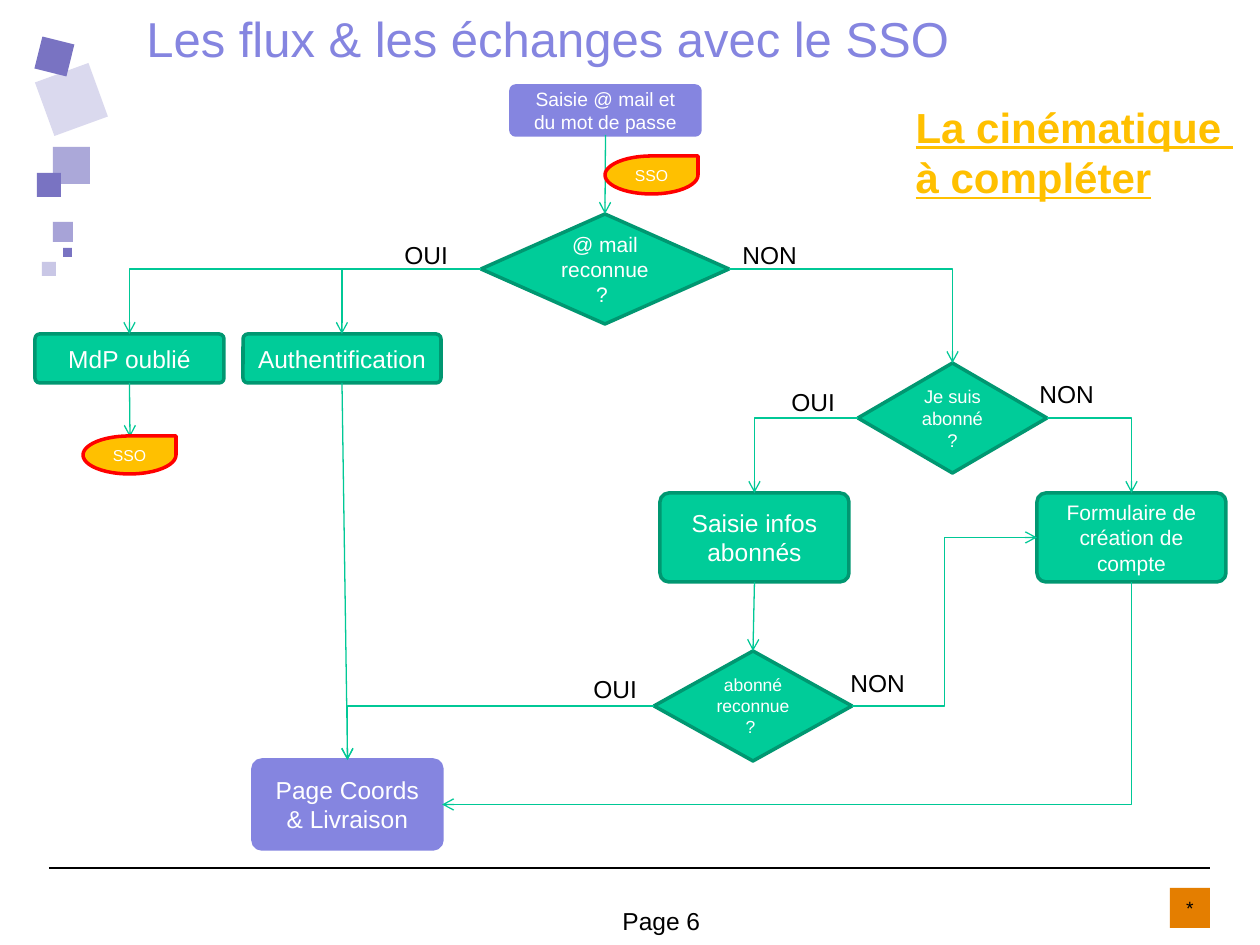
from lxml.etree import SubElement
from pptx import Presentation
from pptx.dml.color import RGBColor
from pptx.enum.shapes import MSO_CONNECTOR as CONN, MSO_SHAPE as SHAPE
from pptx.enum.text import MSO_ANCHOR as ANCHOR, PP_ALIGN as ALIGN
from pptx.oxml.ns import qn
from pptx.util import Emu, Pt

SCALE = 914400 / 126
TOP, LEFT, BOTTOM, RIGHT = range(4)


def px(n):
    return Emu(round(n * SCALE))


def rgb(value):
    return RGBColor.from_string(value)


class FlowSlide:
    """Style and element methods for one flowchart slide."""

    font = "Arial"
    green, violet, orange = ("00CC99", "009771"), ("8585E0", "8585E0"), ("FFC000", "FF0000")
    link_color = "00C896"

    def __init__(self, prs):
        self.slide = prs.slides.add_slide(prs.slide_layouts[5])
        self.shapes = self.slide.shapes

    def label(self, sp, text, size, color, align=ALIGN.LEFT, anchor=ANCHOR.TOP, inset=None, **style):
        tf = sp.text_frame
        frame = {"word_wrap": True, "vertical_anchor": anchor}
        if inset:
            frame.update(margin_top=px(inset), margin_bottom=px(inset))
        for name, value in frame.items():
            setattr(tf, name, value)
        p = tf.paragraphs[0]
        p.text, p.alignment = text, align
        for r in p.runs:
            for name, value in {"name": self.font, "size": Pt(size), **style}.items():
                setattr(r.font, name, value)
            r.font.color.rgb = rgb(color)

    def title(self, box, text, size, color, **style):
        sp = self.shapes.title
        for name, value in zip(("left", "top", "width", "height"), box):
            setattr(sp, name, px(value))
        self.label(sp, text, size, color, **style)

    def text(self, box, text, size=14, color="000000", **style):
        sp = self.shapes.add_textbox(*map(px, box))
        self.label(sp, text, size, color, **style)

    def block(self, kind, box, fill, line=None, alpha=100, rotation=0):
        sp = self.shapes.add_shape(kind, *map(px, box))
        sp.shadow.inherit = False
        sp.rotation = rotation
        sp.fill.solid()
        sp.fill.fore_color.rgb = rgb(fill)
        if alpha < 100:
            clr = sp._element.spPr.find(qn("a:solidFill"))[0]
            SubElement(clr, qn("a:alpha"), val=str(alpha * 1000))
        if line:
            sp.line.color.rgb = rgb(line)
            sp.line.width = Pt(2)
        else:
            sp.line.fill.background()
        return sp

    def node(self, kind, box, colors, text, size):
        sp = self.block(kind, box, *colors)
        if kind == SHAPE.ROUNDED_RECTANGLE:
            sp.adjustments[0] = 0.1
        self.label(sp, text, size, "FFFFFF", ALIGN.CENTER, ANCHOR.MIDDLE)
        return sp

    def line(self, ends, color, kind=CONN.STRAIGHT):
        c = self.shapes.add_connector(kind, *map(px, ends))
        c.line.color.rgb = rgb(color)
        c.line.width = Pt(0.75)
        SubElement(c._element.spPr, qn("a:effectLst"))
        return c

    def arrow(self, start, site, end, end_site=TOP, preset="line"):
        kind = CONN.STRAIGHT if preset == "line" else CONN.ELBOW
        c = self.line((0, 0, 0, 0), self.link_color, kind)
        c.begin_connect(start, site)
        if isinstance(end, tuple):
            c.end_x, c.end_y = map(px, end)
        else:
            c.end_connect(end, end_site)
        sppr = c._element.spPr
        sppr.find(qn("a:prstGeom")).set("prst", preset)
        SubElement(sppr.find(qn("a:ln")), qn("a:tailEnd"), type="arrow")
        return c

    def elbow(self, start, site, end, end_site=TOP):
        c = self.arrow(start, site, end, end_site, "bentConnector2")
        if site == BOTTOM:
            w, h = c.width, c.height
            c.left, c.top = c.left + (w - h) // 2, c.top + (h - w) // 2
            c.width, c.height = h, w
            xfrm = c._element.spPr.find(qn("a:xfrm"))
            xfrm.attrib.pop("flipH", None)
            xfrm.set("rot", "5400000")


def main():
    prs = Presentation()
    prs.slide_width, prs.slide_height = px(1260), px(945)
    s = FlowSlide(prs)

    for x, y, side, rotation, alpha in (
        (43, 71, 57, 340, 27), (63, 248, 9, 0, 100), (38, 40, 33, 14, 100), (53, 147, 37, 0, 62),
        (37, 173, 24, 0, 100), (53, 222, 20, 0, 65), (42, 262, 14, 0, 40),
    ):
        s.block(SHAPE.RECTANGLE, (x, y, side, side), "7973C2", alpha=alpha, rotation=rotation)
    s.line((49, 868, 1210, 868), "000000")
    badge = s.block(SHAPE.RECTANGLE, (1170, 888, 40, 40), "E47E00")
    s.label(badge, "*", 11, "000000", ALIGN.CENTER, ANCHOR.MIDDLE)

    s.title((903, 88, 345, 146), "La cinématique \nà compléter", 24, "FFC000",
            inset=13, bold=True, underline=True)
    s.text((134, -4, 1076, 100), "Les flux & les échanges avec le SSO", 28, "8585E0", inset=13)
    s.text((610, 900, 294, 28), "Page 6")

    box, choice, drop = SHAPE.ROUNDED_RECTANGLE, SHAPE.FLOWCHART_DECISION, SHAPE.TEAR
    login = s.node(box, (511, 86, 189, 49), s.violet, "Saisie @ mail et du mot de passe", 11)
    mail = s.node(choice, (481, 214, 248, 110), s.green, "@ mail reconnue ? ", 12)
    auth = s.node(box, (243, 334, 198, 49), s.green, "Authentification", 14)
    forgot = s.node(box, (35, 334, 189, 49), s.green, "MdP oublié", 14)
    member = s.node(choice, (858, 363, 189, 110), s.green, "Je suis abonné ?", 10.5)
    infos = s.node(box, (660, 493, 189, 89), s.green, "Saisie infos abonnés", 14)
    form = s.node(box, (1037, 493, 189, 89), s.green, "Formulaire de création de compte", 12)
    known = s.node(choice, (654, 651, 198, 110), s.green, "abonné reconnue ? ", 10)
    page = s.node(box, (253, 760, 189, 89), s.violet, "Page Coords & Livraison", 14)

    for start, end in ((login, mail), (forgot, (130, 437)), (infos, known), (auth, page)):
        s.arrow(start, BOTTOM, end)
    for start, site, end in (
        (mail, LEFT, auth), (mail, LEFT, forgot), (mail, RIGHT, member),
        (member, LEFT, infos), (member, RIGHT, form), (known, LEFT, page),
    ):
        s.elbow(start, site, end)
    s.elbow(form, BOTTOM, page, RIGHT)
    s.arrow(known, RIGHT, form, LEFT, "bentConnector3")

    for x, y, answer in (
        (392, 234, "OUI"), (730, 234, "NON"), (779, 381, "OUI"),
        (1027, 373, "NON"), (581, 668, "OUI"), (838, 662, "NON"),
    ):
        s.text((x, y, 128, 43), answer)
    for x, y in ((605, 156), (83, 436)):
        s.node(drop, (x, y, 93, 38), s.orange, "SSO", 9)

    prs.save("out.pptx")


if __name__ == "__main__":
    main()
